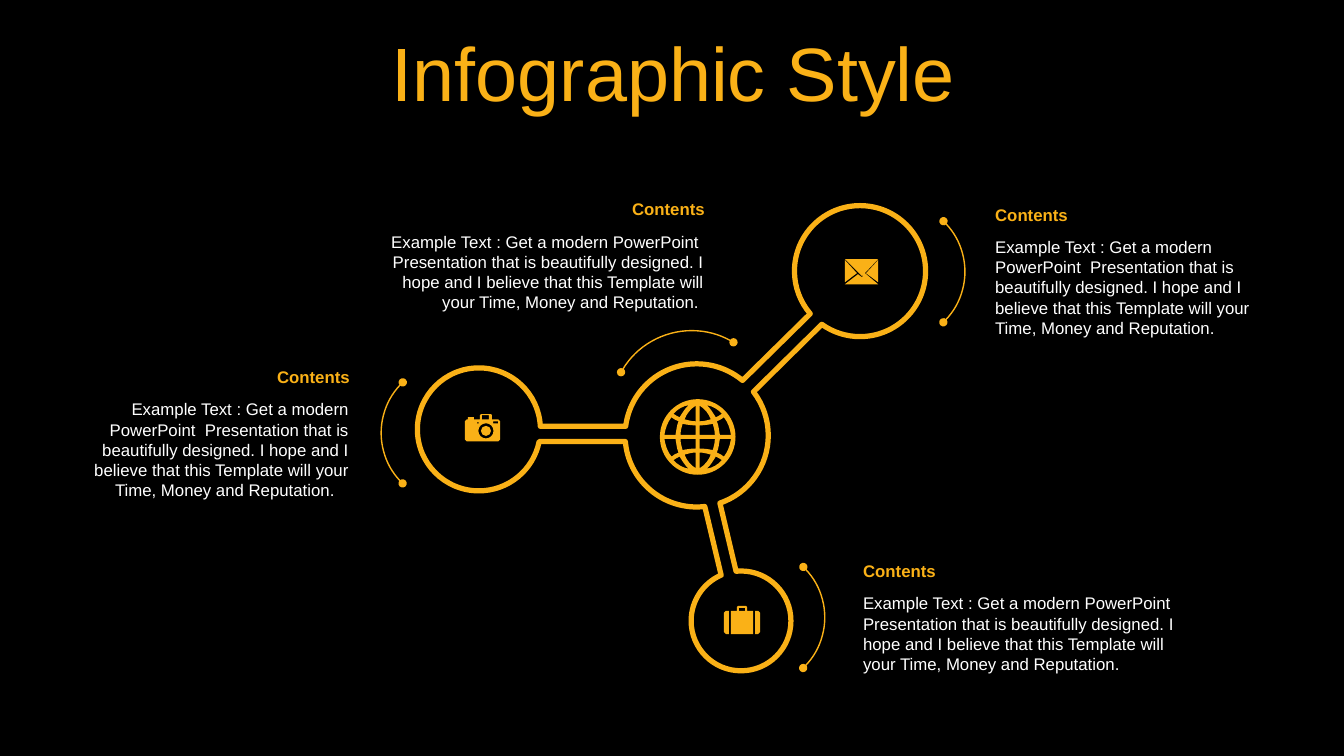
"""Builds a one-slide infographic of linked circles with captions."""
import itertools
import math
from dataclasses import dataclass

import pptx
import pptx.dml.color
import pptx.enum.shapes
import pptx.enum.text
import pptx.oxml
import pptx.util
from lxml import etree

TITLE = "Infographic Style"
TITLE_BOX = (35, 37, 1266, 79)
HEADING = "Contents"
BODY = ("Example Text : Get a modern PowerPoint  Presentation that is beautifully designed. "
        "I hope and I believe that this Template will your Time, Money and Reputation.")

# left, top, width, body height, alignment, ending of the body
CAPTIONS = [
    (975, 198, 277, 111, "LEFT", ""),
    (369, 192.5, 341, 91, "RIGHT", " "),
    (72, 359, 286, 111, "RIGHT", "   "),
    (844, 551.5, 334, 91, "LEFT", ""),
]
HEADING_ROWS, BODY_DROP = 30, 32

# centre x, centre y, radius
CIRCLES = {
    "hub": (691, 432, 71),
    "mail": (853, 269, 65),
    "camera": (475, 426, 61),
    "case": (735, 616, 49.5),
}
# circle, point where its arc starts, point where it ends (clockwise)
OUTLINE = [
    ("mail", (804, 311), (815, 322)),
    ("hub", (747, 389), (714, 499)),
    ("case", (730, 566), (715, 570)),
    ("hub", (699, 502), (621, 438)),
    ("camera", (535, 438), (536, 423)),
    ("hub", (621, 423), (736, 378)),
]

# left, top, size, rotation
BRACKETS = [
    (606, 328, 160, 300),
    (818, 200, 139, 45),
    (378, 360, 139, 225),
    (679, 543, 139, 45),
]
BRACKET_SPAN = (161.374, 0.749)

# gaps in one quarter of the globe, from its centre; six numbers make a curve
GLOBE_CENTER, GLOBE_RADIUS = (692, 433.5), 37.5
GLOBE_GAPS = [
    [(2, 15.5), (2, 31), (7, 28, 11, 23, 13, 17.5), (9, 16.5, 6, 15.5, 2, 15.5)],
    [(18, 19.5), (15, 24, 13, 28, 9, 31.5), (15, 30.5, 20, 27.5, 24, 23),
     (22, 21.5, 20, 20.5, 18, 19.5)],
    [(22, 2), (21, 7, 21, 11, 19, 15.5), (22, 16.5, 24, 18, 26, 19.5), (30, 14.5, 32, 8.5, 33, 2)],
    [(2, 2), (2, 11.5), (6, 11.5, 10, 12, 15, 13), (16, 9.5, 17, 6, 17, 2)],
]


@dataclass(frozen=True)
class Theme:
    font: str = "Arial"
    back: str = "000000"
    accent: str = "FAB117"
    text: str = "FFFFFF"
    title_size: float = 54
    text_size: float = 12
    outline: float = 3.75
    bracket: float = 1


THEME = Theme()
COLUMNS, ROWS = 1333, 750
CELL = pptx.util.Inches(13.33) / COLUMNS


def cells(*values):
    return [round(v * CELL) for v in values]


def color(name):
    return pptx.dml.color.RGBColor.from_string(name)


def arc(cx, cy, radius, start=0.0, end=2 * math.pi):
    quarter = math.pi / 2
    inner = range(math.floor(start / quarter) + 1, math.ceil(end / quarter))
    stops = [start, *(i * quarter for i in inner), end]
    items = [(cx + radius * math.cos(start), cy + radius * math.sin(start))]
    for a, b in itertools.pairwise(stops):
        pull = 4 / 3 * math.tan((b - a) / 4)
        items.append((cx + radius * (math.cos(a) - pull * math.sin(a)),
                      cy + radius * (math.sin(a) + pull * math.cos(a)),
                      cx + radius * (math.cos(b) + pull * math.sin(b)),
                      cy + radius * (math.sin(b) - pull * math.cos(b)),
                      cx + radius * math.cos(b), cy + radius * math.sin(b)))
    return items


def rect(left, top, right, bottom):
    return [(left, top), (right, top), (right, bottom), (left, bottom)]


def molecule():
    items = []
    for name, first, last in OUTLINE:
        cx, cy, radius = CIRCLES[name]
        start, end = (math.atan2(y - cy, x - cx) for x, y in (first, last))
        items += arc(cx, cy, radius, start, start + (end - start) % (2 * math.pi))
    return [items]


def globe():
    cx, cy = GLOBE_CENTER
    contours = [arc(cx, cy, GLOBE_RADIUS)]
    for gap, sx, sy in itertools.product(GLOBE_GAPS, (-1, 1), (-1, 1)):
        contours.append([tuple(cy + sy * v if i % 2 else cx + sx * v for i, v in enumerate(item))
                         for item in gap])
    return contours


ENVELOPE = [
    [(858, 271), (871, 282), (838, 282), (851, 272), (855, 275)],
    [(871, 258), (871, 280), (859, 271)],
    [(838, 258), (850, 271), (838, 280)],
    [(838, 257), (871, 257), (855, 274)],
]
CAMERA = [
    [(461, 418), (463, 416), (464, 416), (464, 414), (470, 414), (470, 416), (476, 416),
     (476, 412), (477, 411), (487, 411), (488, 412), (488, 416), (494, 416), (496, 418),
     (496, 436), (494, 438), (463, 438), (461, 436)],
    arc(482, 427.5, 7.5),
    arc(482, 427.5, 5),
    rect(473, 419, 475, 420),
    rect(489, 418, 494, 420),
    rect(478, 412, 485, 416),
]
SUITCASE = [
    [(749, 606), (752, 606), (754, 608), (754, 627), (752, 629), (749, 629)],
    [(723, 606), (723, 629), (720, 629), (718, 627), (718, 608), (720, 606)],
    [(732, 601), (740, 601), (741, 602), (741, 606), (747, 606), (747, 629),
     (725, 629), (725, 606), (731, 606), (731, 602)],
    rect(733, 603, 739, 606),
]


def add_outline(s, contours, fill=None, width=None):
    builder = None
    for contour in contours:
        flat = cells(*itertools.chain(*contour))
        points = list(zip(flat[::2], flat[1::2]))
        if builder is None:
            builder = s.shapes.build_freeform(*points[0])
        else:
            builder.move_to(*points[0])
        builder.add_line_segments(points[1:], close=True)
    sp = builder.convert_to_shape()
    lines = iter(list(sp._element.iter(pptx.oxml.ns.qn("a:lnTo"))))
    for item in itertools.chain(*(contour[1:] for contour in contours)):
        parts = [next(lines) for _ in range(len(item) // 2)]
        if len(parts) == 3:
            curve = etree.Element(pptx.oxml.ns.qn("a:cubicBezTo"))
            parts[0].addprevious(curve)
            for part in parts:
                curve.append(part[0])
                part.getparent().remove(part)
    paint(sp, fill, width)


def paint(sp, fill=None, width=None):
    sp.shadow.inherit = False
    for target, rgb in ((sp.fill, fill), (sp.line.fill, THEME.accent if width else None)):
        if rgb:
            target.solid()
            target.fore_color.rgb = color(rgb)
        else:
            target.background()
    if width:
        sp.line.width = pptx.util.Pt(width)


def add_bracket(s, left, top, size, rotation):
    kind = pptx.enum.shapes.MSO_SHAPE.ARC
    sp = s.shapes.add_shape(kind, *cells(left, top, size, size))
    sp.adjustments[0], sp.adjustments[1] = BRACKET_SPAN
    sp.rotation = rotation
    paint(sp, width=THEME.bracket)
    for end in ("a:headEnd", "a:tailEnd"):
        etree.SubElement(sp.line._get_or_add_ln(), pptx.oxml.ns.qn(end), type="oval")


def write(tf, text, align, rgb, **formats):
    tf.word_wrap = True
    p = tf.paragraphs[0]
    p.alignment = getattr(pptx.enum.text.PP_ALIGN, align)
    r = p.add_run()
    r.text = text
    r.font.color.rgb = color(rgb)
    for name, value in {"name": THEME.font, **formats}.items():
        setattr(r.font, name, value)
    return p


def add_caption(s, left, top, width, body_rows, align, ending):
    for text, y, columns, rows, rgb, bold in (
            (BODY + ending, top + BODY_DROP, width, body_rows, THEME.text, False),
            (HEADING, top, width + 1, HEADING_ROWS, THEME.accent, True)):
        tf = s.shapes.add_textbox(*cells(left, y, columns, rows)).text_frame
        tf.margin_left, tf.margin_right = cells(12, 12)
        tf.auto_size = pptx.enum.text.MSO_AUTO_SIZE.SHAPE_TO_FIT_TEXT
        write(tf, text, align, rgb, bold=bold, size=pptx.util.Pt(THEME.text_size))


def main():
    prs = pptx.Presentation()
    prs.slide_width, prs.slide_height = cells(COLUMNS, ROWS)
    s = prs.slides.add_slide(prs.slide_layouts[5])
    s.background.fill.solid()
    s.background.fill.fore_color.rgb = color(THEME.back)
    title = s.shapes.title
    title.left, title.top, title.width, title.height = cells(*TITLE_BOX)
    title.text_frame.vertical_anchor = pptx.enum.text.MSO_ANCHOR.MIDDLE
    size = pptx.util.Pt(THEME.title_size)
    write(title.text_frame, TITLE, "CENTER", THEME.accent, size=size).line_spacing = 0.9
    add_outline(s, molecule(), width=THEME.outline)
    for caption in CAPTIONS:
        add_caption(s, *caption)
    for bracket in BRACKETS:
        add_bracket(s, *bracket)
    for icon in (ENVELOPE, CAMERA, SUITCASE, globe()):
        add_outline(s, icon, fill=THEME.accent)
    prs.save("out.pptx")


if __name__ == "__main__":
    main()
